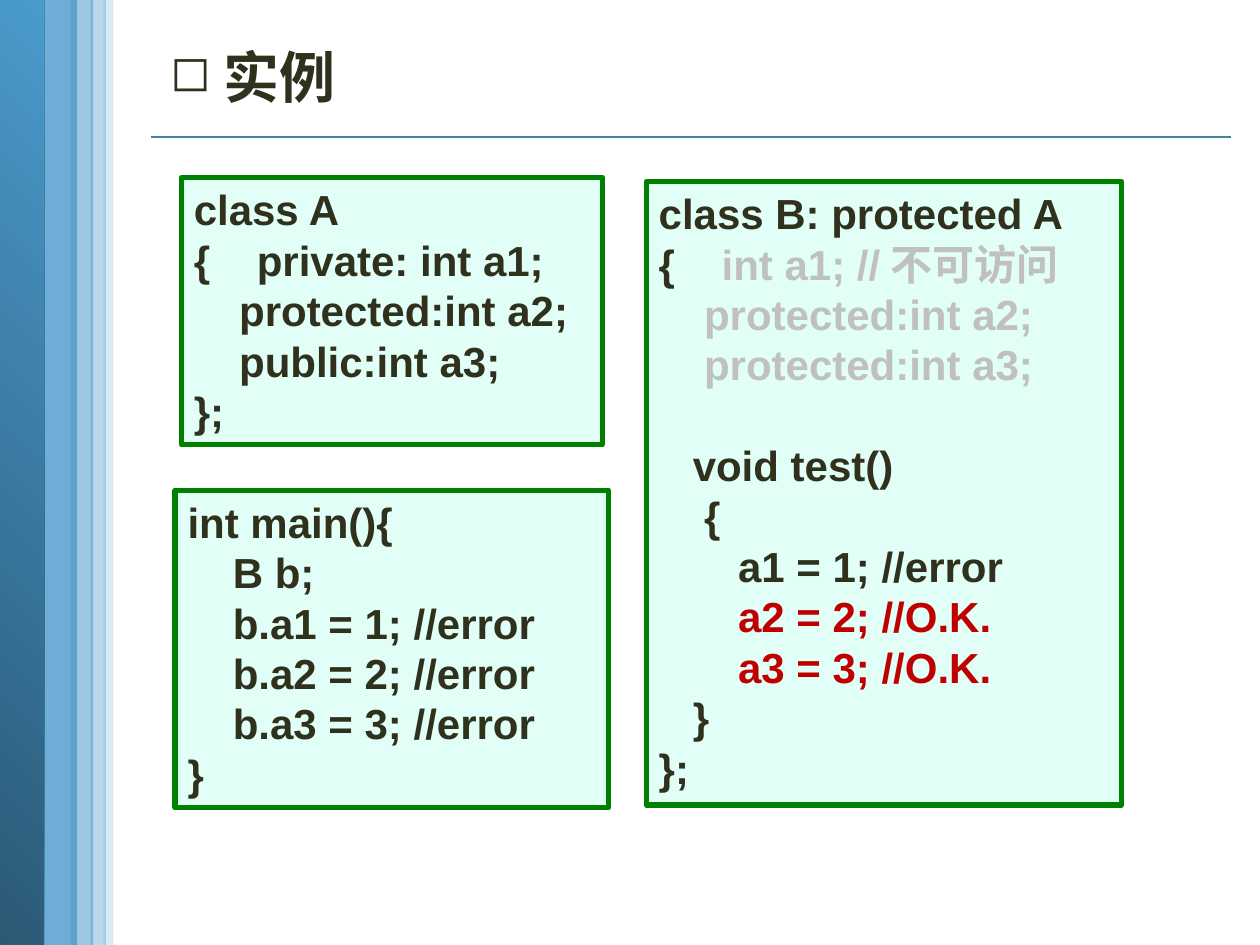
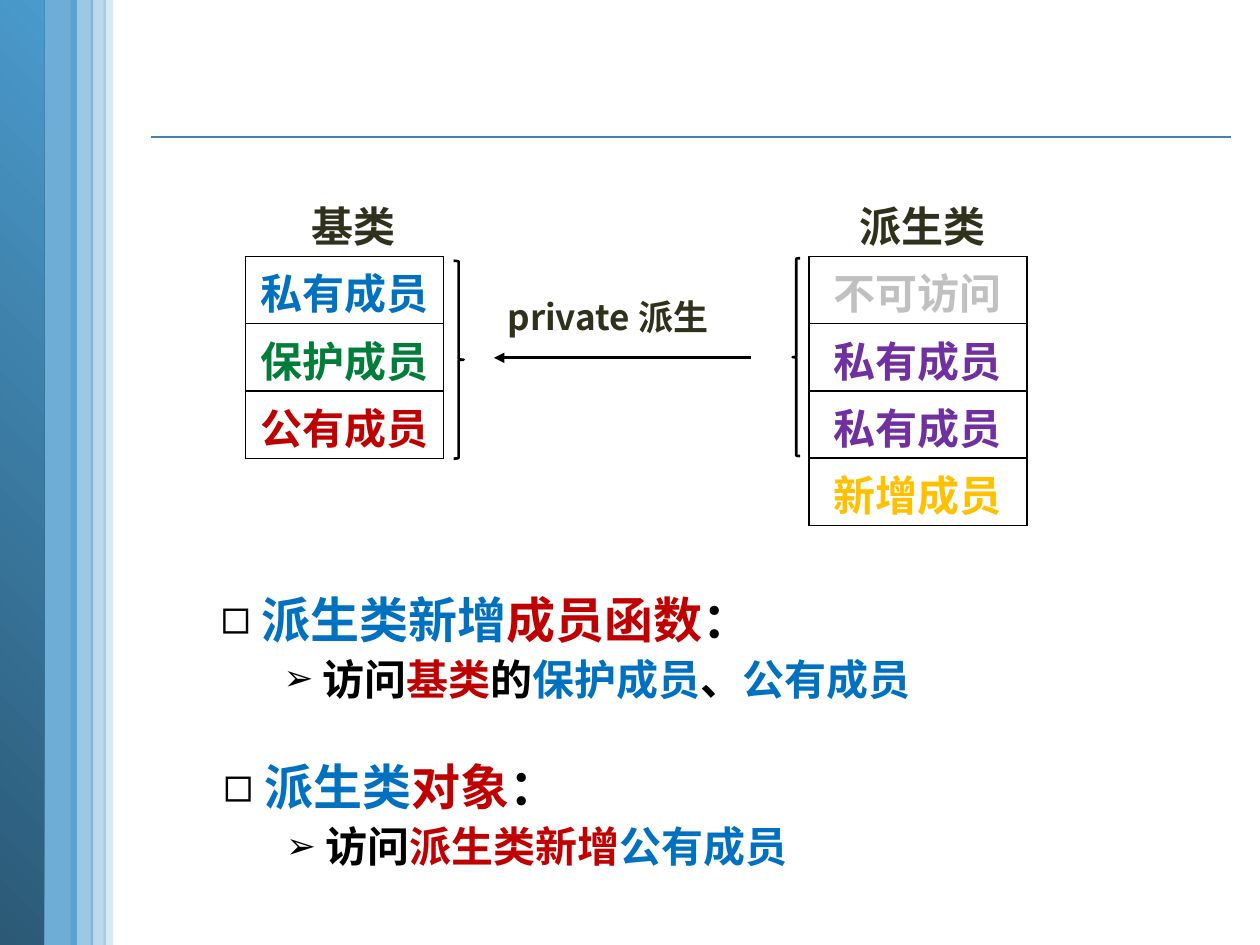
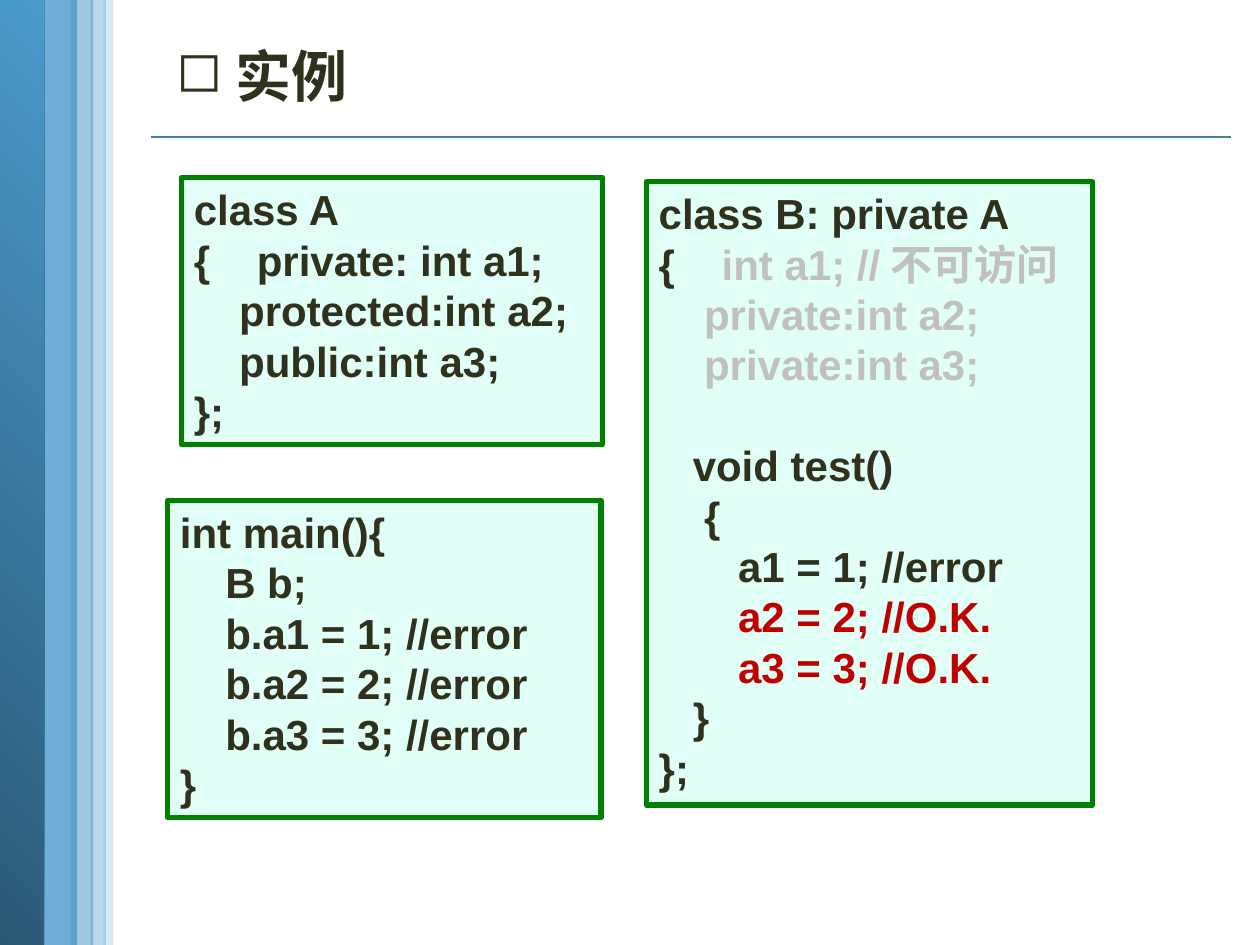
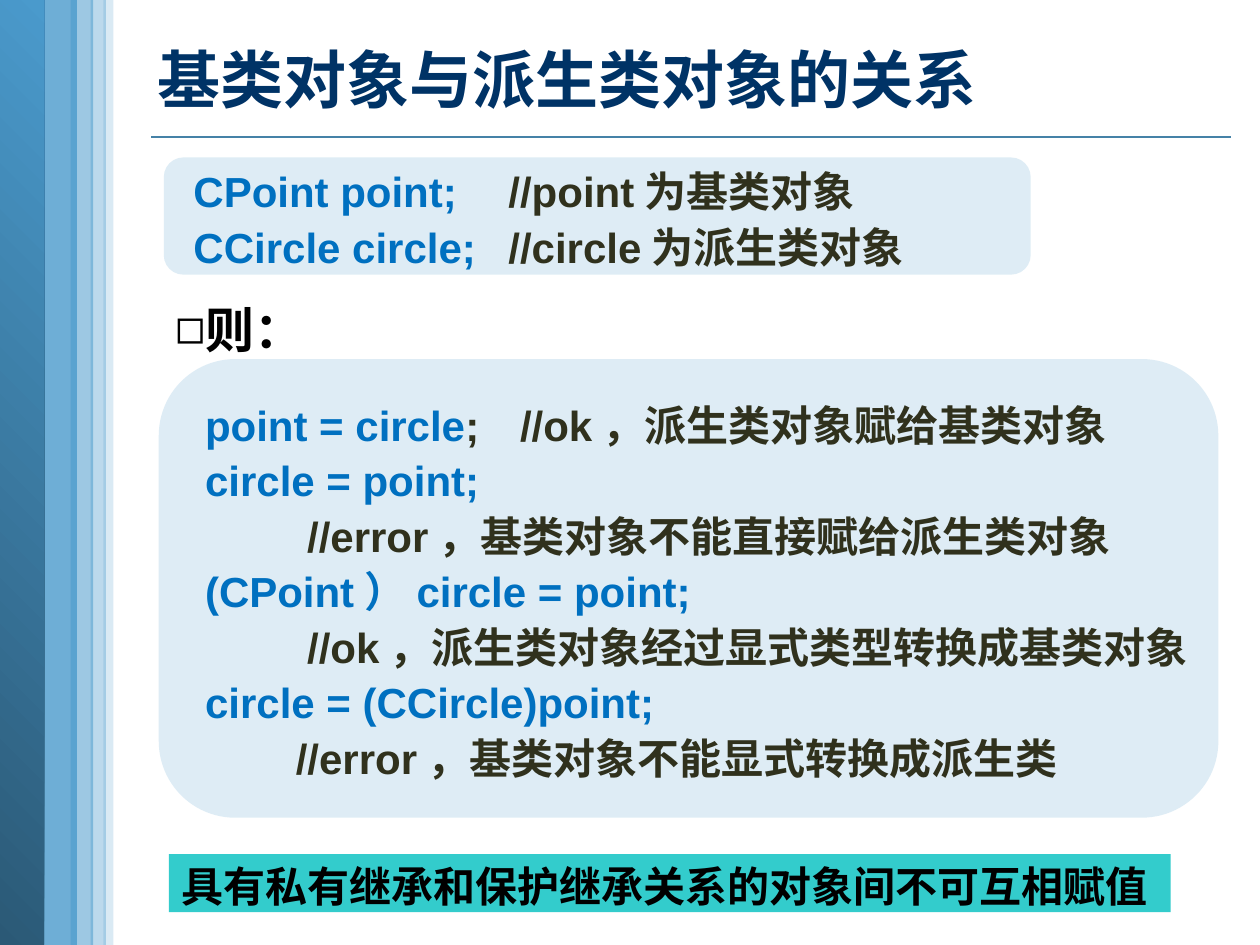
import dataclasses
import pptx
import pptx.dml.color
import pptx.enum.shapes
import pptx.enum.text
import pptx.oxml
import pptx.oxml.ns
import pptx.util

SHAPE = pptx.enum.shapes.MSO_SHAPE
ANCHOR = pptx.enum.text.MSO_ANCHOR
ALIGN = pptx.enum.text.PP_ALIGN

COLORS = {
    "ink": "30311D", "black": "000000", "navy": "003366", "blue": "0070C0",
    "red": "C00000", "green": "007E39", "purple": "7030A0", "gold": "FFC000",
    "gray": "C0C0C0", "mint": "E1FFF7", "frame": "008000", "teal": "33CCCC",
    "sky": "92C2E0", "band": "4A9ACC", "deep": "2B5976", "rule": "4582A7",
}
LATIN, CHINESE, SERIF = "Arial", "Noto Sans CJK SC", "Times New Roman"
COLUMNS, ROWS = 100, 75
SPACE = 0.09  # width in inches of one blank in 24 pt bold code
SQUARE, ARROW = "◻", "➢"
TITLE_AND_BODY, TWO_BODIES, TITLE_ONLY = 1, 3, 5


@dataclasses.dataclass
class Line:
    """One paragraph; runs are strings or (text, colour) pairs."""
    runs: list
    indent: float = 0
    size: float = 24
    font: str = LATIN
    color: str = "ink"
    spacing: float = 1
    before: float = 0
    tab: float = 0
    bullet: str = ""
    bullet_size: int = 100
    align: object = ALIGN.LEFT


def code(text, blanks=0, color="ink", **options):
    return Line([(text, color)], indent=blanks * SPACE, **options)


def rgb(name):
    return pptx.dml.color.RGBColor.from_string(COLORS[name])


def add_xml(parent, tag, **attributes):
    child = pptx.oxml.parse_xml(f"<a:{tag} {pptx.oxml.ns.nsdecls('a')}/>")
    for name, value in attributes.items():
        child.set(name, str(value))
    parent.append(child)
    return child


class Deck:
    """Holds the style and the current slide."""

    def __init__(self):
        self.presentation = pptx.Presentation()
        self.presentation.slide_width = pptx.util.Inches(10)
        self.presentation.slide_height = pptx.util.Inches(7.5)
        self.column = self.presentation.slide_width / COLUMNS
        self.row = self.presentation.slide_height / ROWS
        self.slide = None

    def new_slide(self, layout):
        layouts = self.presentation.slide_layouts
        self.slide = self.presentation.slides.add_slide(layouts[layout])

    def box(self, left, top, width, height):
        return (round(left * self.column), round(top * self.row),
                round(width * self.column), round(height * self.row))

    # Text
    def fill_frame(self, frame, lines, anchor=ANCHOR.TOP, **margins):
        settings = {"word_wrap": True, "vertical_anchor": anchor,
                    "auto_size": pptx.enum.text.MSO_AUTO_SIZE.NONE}
        for side, inches in margins.items():
            settings["margin_" + side] = pptx.util.Inches(inches)
        for name, value in settings.items():
            setattr(frame, name, value)
        self.add_lines(frame, lines)

    def add_lines(self, frame, lines):
        for number, line in enumerate(lines):
            paragraph = frame.add_paragraph() if number else frame.paragraphs[0]
            self.format_line(paragraph, line)

    def format_line(self, paragraph, line):
        pitch = line.size * 1.2 * line.spacing
        layout = {"alignment": line.align, "line_spacing": pptx.util.Pt(pitch),
                  "space_before": pptx.util.Pt(line.before),
                  "space_after": pptx.util.Pt(0)}
        for name, value in layout.items():
            setattr(paragraph, name, value)
        properties = paragraph._p.get_or_add_pPr()
        properties.set("marL", str(pptx.util.Inches(line.indent)))
        properties.set("indent", "0")
        if line.bullet:
            add_xml(properties, "buSzPct", val=line.bullet_size * 1000)
            add_xml(properties, "buChar", char=line.bullet)
        else:
            add_xml(properties, "buNone")
        if line.tab:
            tabs = add_xml(properties, "tabLst")
            add_xml(tabs, "tab", pos=pptx.util.Inches(line.tab), algn="l")
        for item in line.runs:
            text, color = (item, line.color) if isinstance(item, str) else item
            run = paragraph.add_run()
            run.text = text
            style = {"name": line.font, "size": pptx.util.Pt(line.size), "bold": True}
            for name, value in style.items():
                setattr(run.font, name, value)
            run.font.color.rgb = rgb(color)
            add_xml(run._r.get_or_add_rPr(), "ea", typeface=CHINESE)

    def placeholder(self, index, place, lines, **options):
        shape = self.slide.placeholders[index]
        names = ("left", "top", "width", "height")
        for name, value in zip(names, self.box(*place)):
            setattr(shape, name, value)
        self.fill_frame(shape.text_frame, lines, **options)

    def text(self, place, lines):
        shape = self.slide.shapes.add_textbox(*self.box(*place))
        self.fill_frame(shape.text_frame, lines)

    # Shapes
    def shape(self, kind, place, fill=None, alpha=100, line=None, weight=1):
        shape = self.slide.shapes.add_shape(kind, *self.box(*place))
        shape.shadow.inherit = False
        if fill:
            shape.fill.solid()
            shape.fill.fore_color.rgb = rgb(fill)
            if alpha < 100:
                color = shape.element.spPr.xpath("./a:solidFill/a:srgbClr")[0]
                add_xml(color, "alpha", val=alpha * 1000)
        else:
            shape.fill.background()
        if line:
            shape.line.color.rgb = rgb(line)
            shape.line.width = pptx.util.Pt(weight)
        else:
            shape.line.fill.background()
        return shape

    def panel(self, place, lines):
        shape = self.shape(SHAPE.RECTANGLE, place, "mint", line="frame", weight=3)
        self.fill_frame(shape.text_frame, lines)

    def card(self, place, lines):
        shape = self.shape(SHAPE.ROUNDED_RECTANGLE, place, "sky", alpha=30)
        self.fill_frame(shape.text_frame, lines, ANCHOR.MIDDLE,
                        left=0.1 + SPACE, right=0)

    def connector(self, start, end, color, weight, arrow=False):
        straight = pptx.enum.shapes.MSO_CONNECTOR.STRAIGHT
        connector = self.slide.shapes.add_connector(
            straight, *self.box(*start, *end))
        connector.line.color.rgb = rgb(color)
        connector.line.width = pptx.util.Pt(weight)
        if arrow:
            add_xml(connector.line._get_or_add_ln(), "tailEnd", type="triangle")
        add_xml(connector.element.spPr, "effectLst")
        return connector

    # Tables
    def member_table(self, place, heading, members, shift):
        """A heading without a frame above a column of framed members."""
        frame = self.slide.shapes.add_table(len(members) + 1, 1, *self.box(*place))
        table = frame.table
        for name in ("first_row", "horz_banding"):
            setattr(table, name, False)
        for number, item in enumerate([(heading, "ink"), *members]):
            cell = table.cell(number, 0)
            margins = {"left": 0.1 if number else 0.1 + shift, "right": 0.1,
                       "top": 0.11, "bottom": 0}
            for side, inches in margins.items():
                setattr(cell, "margin_" + side, pptx.util.Inches(inches))
            cell.vertical_anchor = ANCHOR.MIDDLE
            self.add_lines(cell.text_frame,
                           [Line([item], font=CHINESE, align=ALIGN.CENTER)])
            self.cell_borders(cell, "LRTB" if number else "B")
            cell.fill.background()

    def cell_borders(self, cell, sides):
        properties = cell._tc.get_or_add_tcPr()
        for side in "LRTB":
            border = add_xml(properties, "ln" + side, w=pptx.util.Pt(1))
            if side in sides:
                fill = add_xml(border, "solidFill")
                add_xml(fill, "srgbClr", val=COLORS["black"])
            else:
                add_xml(border, "noFill")

    # Shared background
    def dress_master(self):
        """Draw the rule and bands on the current slide, then move them to the master."""
        parts = [self.connector((12, 10.9), (97.7, 10.9), "rule", 1)]
        parts.append(self.shape(SHAPE.RECTANGLE, (3, 0, 3.1, 75.3), "band", 80))
        edge = self.shape(SHAPE.RECTANGLE, (-0.1, 0, 3.6, 75), "deep")
        edge.fill.gradient()
        edge.fill.gradient_angle = 45
        for stop, color in zip(edge.fill.gradient_stops, ("deep", "band")):
            stop.color.rgb = rgb(color)
        parts.append(edge)
        for left, width, alpha in ((8.2, 0.8, 20), (5.6, 1.8, 54), (7.2, 1.2, 37)):
            place = (left, 0, width, 75.2)
            parts.append(self.shape(SHAPE.RECTANGLE, place, "band", alpha))
        tree = self.presentation.slide_master.element.cSld.spTree
        for number, part in enumerate(parts):
            part.element.xpath(".//p:cNvPr")[0].set("id", str(100 + number))
            tree.insert(2 + number, part.element)


def access_example(deck, access, label, bullet_size, derived_width, main_place):
    """Base class, derived class and main() for one kind of inheritance."""
    deck.placeholder(0, label, [Line([" 实例"], size=32, bullet=SQUARE,
                                     bullet_size=bullet_size)])
    deck.panel((14.4, 14.1, 33.4, 21.2), [
        code("class A"),
        code("{\tprivate: int a1;", tab=0.31),
        code("protected:int a2;", 4),
        code("public:int a3;", 4),
        code("};"),
    ])
    deck.panel((51.3, 14.4, derived_width, 49.5), [
        code(f"class B: {access} A"),
        Line(["{\t", ("int a1; //不可访问", "gray")], tab=0.41),
        *[code(f"{access}:int a{number};", 4, "gray") for number in (2, 3)],
        code("void test()", 3, before=28.8),
        code("{", 4),
        code("a1 = 1; //error", 7),
        *[code(f"a{number} = {number}; //O.K.", 7, "red") for number in (2, 3)],
        code("}", 3),
        code("};"),
    ])
    deck.panel(main_place, [
        code("int main(){"),
        code("B b;", 4),
        *[code(f"b.a{number} = {number}; //error", 4) for number in (1, 2, 3)],
        code("}"),
    ])


def access_rule(deck, index, place, subject, access):
    """A heading bullet with one point under it."""
    shared = {"color": "black", "spacing": 1.1}
    deck.placeholder(index, place, [
        Line([" ", *subject, "："], 0.44, 28, bullet=SQUARE, **shared),
        Line([" 访问", *access], 0.94, bullet=ARROW, bullet_size=85, **shared),
    ])


def private_derivation(deck):
    deck.new_slide(TWO_BODIES)
    title = deck.slide.shapes.title.element
    title.getparent().remove(title)
    access_rule(deck, 1, (12.1, 45.8, 82.1, 10.6),
                [("派生类新增", "blue"), ("成员函数", "red")],
                [("基类", "red"), "的", ("保护成员", "blue"), "、", ("公有成员", "blue")])
    access_rule(deck, 2, (12.3, 59.1, 82.1, 10.6),
                [("派生类", "blue"), ("对象", "red")],
                [("派生类新增", "red"), ("公有成员", "blue")])
    # Members of both classes
    deck.member_table((19.5, 15, 15.7, 21.4), "基类", [
        ("私有成员", "blue"), ("保护成员", "green"), ("公有成员", "red")], 0.14)
    deck.member_table((64.2, 15, 17.3, 26.7), "派生类", [
        ("不可访问", "gray"), ("私有成员", "purple"), ("私有成员", "purple"),
        ("新增成员", "gold")], 0.07)
    # Braces and the derivation arrow
    for kind, place in ((SHAPE.RIGHT_BRACE, (36, 20.7, 0.8, 15.7)),
                        (SHAPE.LEFT_BRACE, (62.9, 20.5, 0.6, 15.7))):
        deck.shape(kind, place, line="black", weight=1.5)
    deck.connector((59.6, 28.4), (39.2, 28.4), "black", 1.5, arrow=True)
    deck.text((39.3, 23, 18, 4.4), [Line(["private派生"], size=20, font=CHINESE)])


def object_relations(deck):
    deck.new_slide(TITLE_AND_BODY)
    deck.placeholder(0, (11.5, 0.7, 87, 11.1), [
        Line(["基类对象与派生类对象的关系"], size=36, font=CHINESE, color="navy"),
    ], anchor=ANCHOR.MIDDLE)
    deck.placeholder(1, (12.9, 22.8, 82.1, 5.8), [
        Line(["则："], size=28, color="black", spacing=1.1, bullet=SQUARE)])

    def statement(text, comment="", tab=0):
        runs = [(text, "blue")] + ([comment] if comment else [])
        return Line(runs, spacing=1.1, tab=tab)

    def remark(text, blanks):
        return code(text, blanks, spacing=1.1)

    deck.card((13, 12.5, 68.8, 9.3), [
        statement("CPoint point;", "\t//point为基类对象", 3.1),
        statement("CCircle circle;", "\t//circle为派生类对象", 3.17),
    ])
    deck.card((12.6, 28.5, 84.1, 36.4), [
        statement("point = circle", ";\t//ok，派生类对象赋给基类对象", 2.91),
        statement("circle = point;"),
        remark("//error，基类对象不能直接赋给派生类对象", 9),
        statement("(CPoint）circle = point;"),
        remark("//ok，派生类对象经过显式类型转换成基类对象", 9),
        statement("circle = (CCircle)point;"),
        remark("//error，基类对象不能显式转换成派生类", 8),
    ])
    banner = deck.shape(SHAPE.RECTANGLE, (13.4, 67.8, 79.5, 4.6), "teal")
    deck.fill_frame(banner.text_frame, [
        Line(["具有私有继承和保护继承关系的对象间不可互相赋值"],
             font=SERIF, color="black")])


def main():
    deck = Deck()
    # Slide 1: protected inheritance
    deck.new_slide(TITLE_ONLY)
    deck.dress_master()
    access_example(deck, "protected", (12.5, 2.9, 15.6, 6.4), 88, 37.7,
                   (13.9, 38.9, 34.4, 25.2))
    # Slide 2: access after private derivation
    private_derivation(deck)
    # Slide 3: private inheritance
    deck.new_slide(TITLE_ONLY)
    access_example(deck, "private", (13, 2.8, 16.3, 6.4), 100, 35.4,
                   (13.3, 39.7, 34.4, 25.2))
    # Slide 4: assignment between base and derived objects
    object_relations(deck)
    deck.presentation.save("out.pptx")


if __name__ == "__main__":
    main()
